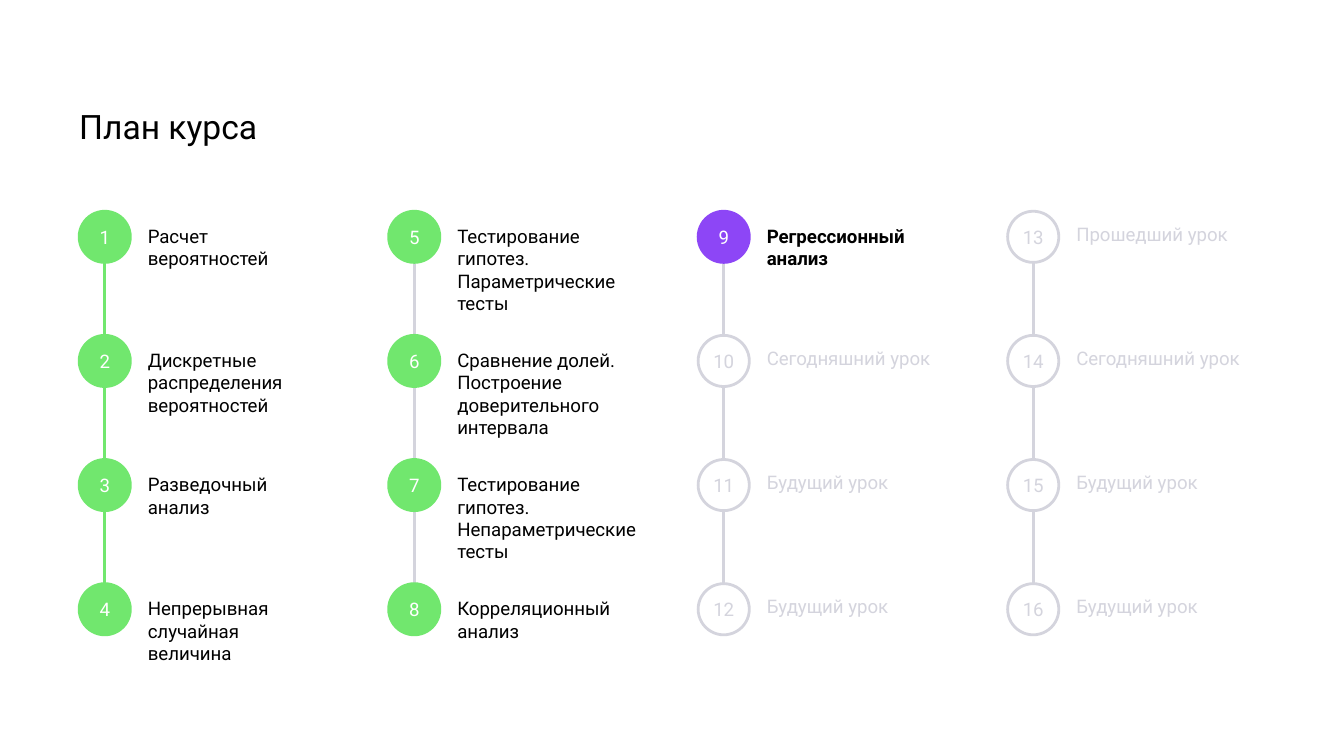
"""Build the course plan slide: sixteen numbered lessons in four columns."""
from lxml import etree
from pptx import Presentation
from pptx.dml.color import RGBColor
from pptx.enum.shapes import MSO_CONNECTOR, MSO_SHAPE
from pptx.enum.text import MSO_ANCHOR, PP_ALIGN
from pptx.oxml.ns import qn
from pptx.util import Pt

STRAIGHT = MSO_CONNECTOR.STRAIGHT
OVAL = MSO_SHAPE.OVAL
TOP, MIDDLE = MSO_ANCHOR.TOP, MSO_ANCHOR.MIDDLE
LEFT, CENTER = PP_ALIGN.LEFT, PP_ALIGN.CENTER

BLACK, WHITE, GRAY, GREEN, PURPLE = "000000", "FFFFFF", "D4D4DD", "71E76E", "8D46F6"
CURRENT = 9
ROWS = 4
LEFT_EDGE, TOP_EDGE = 42.4, 113.2
COLUMN_STEP, ROW_STEP = 165.8, 66.5
DIAMETER = 27.4
LABEL_OFFSET = 36.8
LABEL_WIDTH, WIDE_LABEL_WIDTH, LABEL_HEIGHT = 100.8, 107.3, 26.6

LESSONS = [
    "Расчет вероятностей",
    "Дискретные распределения вероятностей",
    "Разведочный анализ",
    "Непрерывная случайная величина",
    "Тестирование гипотез. Параметрические тесты",
    "Сравнение долей. Построение доверительного интервала",
    "Тестирование гипотез. Непараметрические тесты",
    "Корреляционный анализ",
    "Регрессионный анализ",
    "Сегодняшний урок",
    "Будущий урок",
    "Будущий урок",
    "Прошедший урок",
    "Сегодняшний урок",
    "Будущий урок",
    "Будущий урок",
]


def color(value):
    return RGBColor.from_string(value)


def write(shape, text, size, text_color, margins=(0, 0, 0, 0), anchor=TOP, align=LEFT, bold=False):
    frame = shape.text_frame
    frame.word_wrap = True
    frame.vertical_anchor = anchor
    frame.margin_left, frame.margin_top, frame.margin_right, frame.margin_bottom = map(Pt, margins)
    frame.text = text
    para = frame.paragraphs[0]
    para.alignment = align
    font = para.runs[0].font
    font.name, font.size, font.bold = "Roboto", Pt(size), bold
    font.color.rgb = color(text_color)


deck = Presentation()
deck.slide_width, deck.slide_height = Pt(720), Pt(405)
page = deck.slides.add_slide(deck.slide_layouts[6])

title = page.shapes.add_textbox(Pt(LEFT_EDGE), Pt(56.9), Pt(635), Pt(25.2))
write(title, "План курса", 18, BLACK)

for index, lesson in enumerate(LESSONS):
    number = index + 1
    column, row = divmod(index, ROWS)
    x = LEFT_EDGE + column * COLUMN_STEP
    y = TOP_EDGE + row * ROW_STEP
    accent = GREEN if number < CURRENT else PURPLE if number == CURRENT else GRAY
    future = number > CURRENT

    if row < ROWS - 1:
        center = Pt(x + DIAMETER / 2)
        link = page.shapes.add_connector(STRAIGHT, center, Pt(y + DIAMETER), center, Pt(y + ROW_STEP))
        link.line.color.rgb = color(GREEN if column == 0 else GRAY)
        link.line.width = Pt(1.5)
        etree.SubElement(link._element.spPr, qn("a:effectLst"))

    circle = page.shapes.add_shape(OVAL, Pt(x), Pt(y), Pt(DIAMETER), Pt(DIAMETER))
    circle.shadow.inherit = False
    circle.fill.solid()
    circle.fill.fore_color.rgb = color(WHITE if future else accent)
    circle.line.color.rgb = color(accent)
    circle.line.width = Pt(1.5)
    write(circle, str(number), 10, GRAY if future else WHITE, anchor=MIDDLE, align=CENTER)

    width = WIDE_LABEL_WIDTH if "Непараметрические" in lesson else LABEL_WIDTH
    label = page.shapes.add_textbox(Pt(x + LABEL_OFFSET), Pt(y), Pt(width), Pt(LABEL_HEIGHT))
    write(label, lesson, 10, GRAY if future else BLACK, (0, 7.2, 7.2, 7.2), bold=number == CURRENT)

deck.save("out.pptx")
